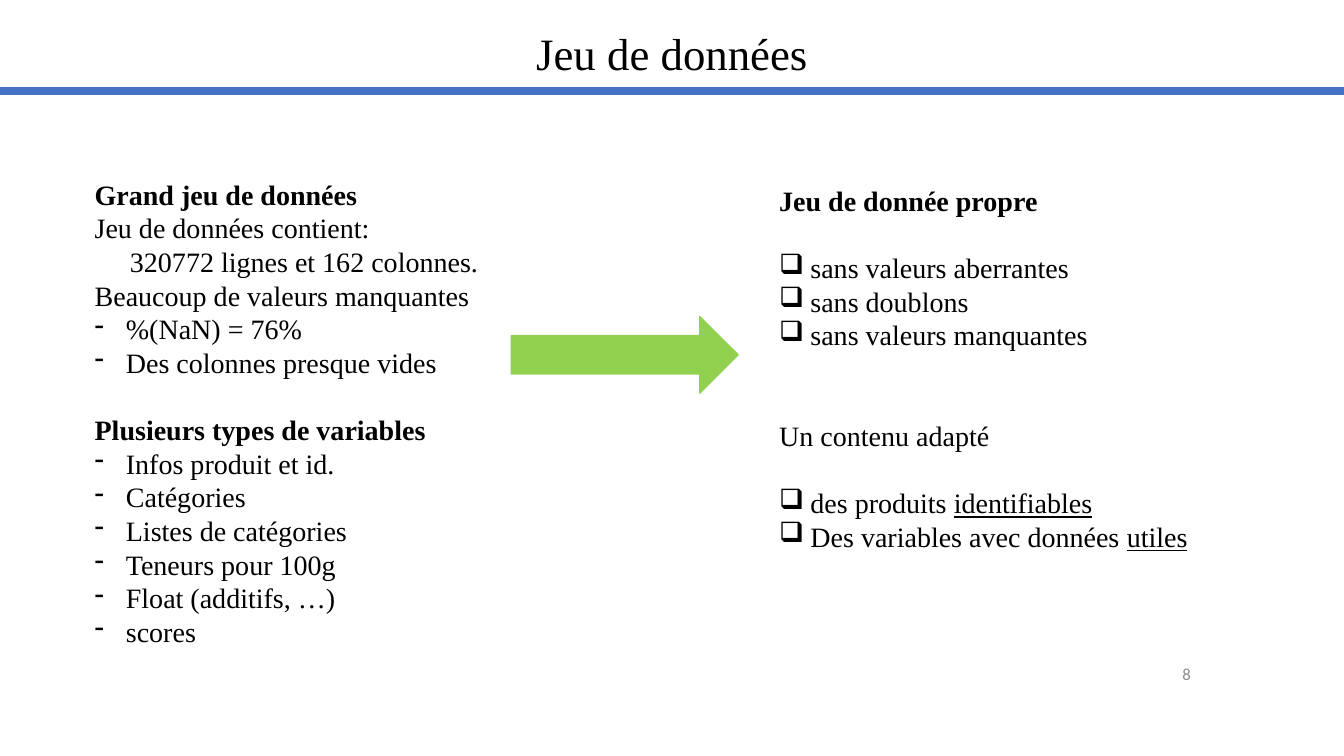
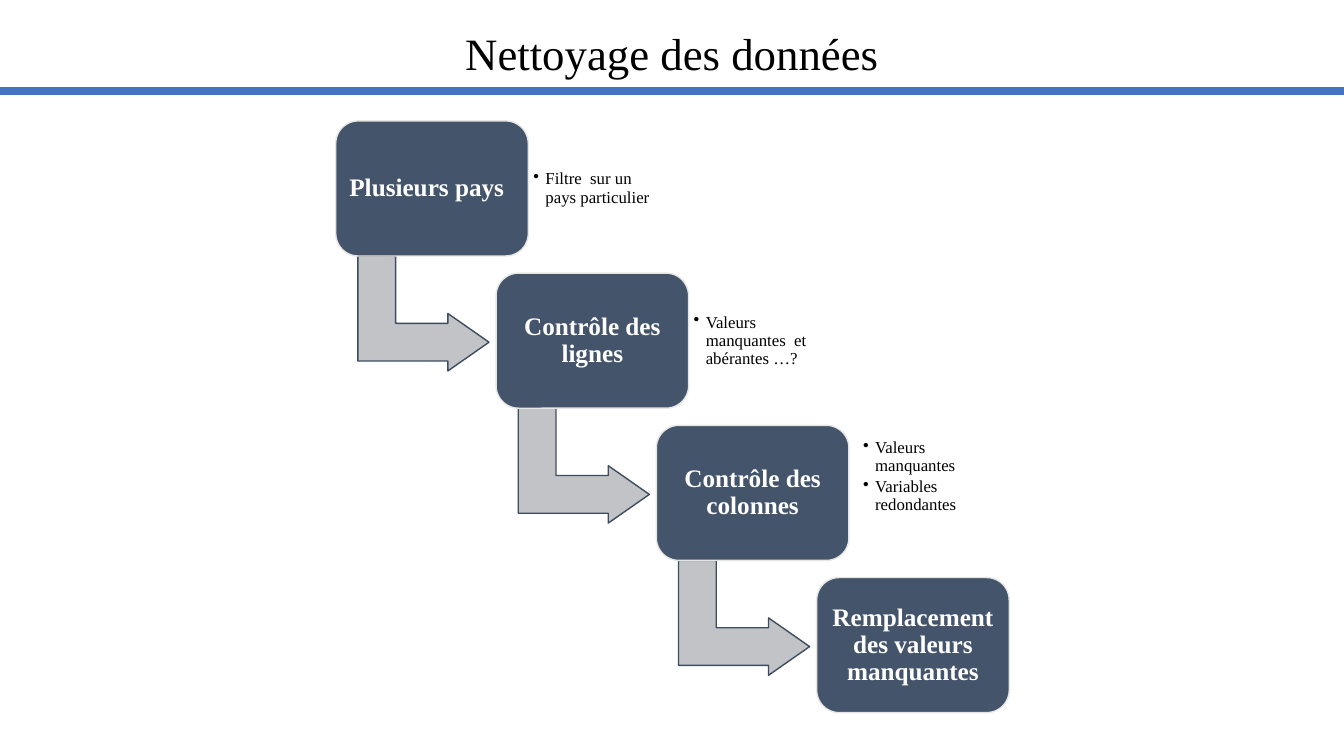
from typing import NamedTuple

from lxml import etree
from pptx import Presentation
from pptx.dml.color import RGBColor
from pptx.enum.shapes import MSO_CONNECTOR, MSO_SHAPE
from pptx.enum.text import MSO_ANCHOR, PP_ALIGN
from pptx.oxml.ns import qn
from pptx.util import Inches, Pt

STRAIGHT = MSO_CONNECTOR.STRAIGHT
RIGHT_ARROW = MSO_SHAPE.RIGHT_ARROW
BENT_ARROW = MSO_SHAPE.BENT_UP_ARROW
ROUNDED = MSO_SHAPE.ROUNDED_RECTANGLE
TOP, MIDDLE = MSO_ANCHOR.TOP, MSO_ANCHOR.MIDDLE
LEFT, CENTER, RIGHT, JUSTIFY = PP_ALIGN.LEFT, PP_ALIGN.CENTER, PP_ALIGN.RIGHT, PP_ALIGN.JUSTIFY

BLACK = RGBColor(0x00, 0x00, 0x00)
WHITE = RGBColor(0xFF, 0xFF, 0xFF)
BLUE = RGBColor(0x44, 0x72, 0xC4)
GREEN = RGBColor(0x92, 0xD0, 0x50)
SLATE = RGBColor(0x44, 0x54, 0x6A)
SLATE_LINE = RGBColor(0x3E, 0x4C, 0x60)
PALE_LINE = RGBColor(0xE7, 0xE6, 0xE6)
ARROW_GRAY = RGBColor(0xC1, 0xC3, 0xC7)
NUMBER_GRAY = RGBColor(0x8C, 0x8C, 0x8C)

SERIF = "Times New Roman"
SANS = "Calibri"
SLIDE_WIDTH = 13.33
BLANK_LINE = 24
TITLE_ONLY = 5


class Line(NamedTuple):
    text: str
    bullet: str = ""
    bold: bool = False
    blanks_before: int = 0
    margin: float = 0
    underlined: str = ""


class Step(NamedTuple):
    label: str
    notes: tuple = ()
    align: PP_ALIGN = CENTER
    note_offset: tuple = (1.91, 0.13)


LARGE_DATA_SET = [
    Line("Grand jeu de données", bold=True),
    Line("Jeu de données contient:"),
    Line("320772 lignes et 162 colonnes.", margin=0.35),
    Line("Beaucoup de valeurs manquantes"),
    Line("%(NaN) = 76%", "-"),
    Line("Des colonnes presque vides", "-"),
    Line("Plusieurs types de variables", bold=True, blanks_before=1),
    Line("Infos produit et id.", "-"),
    Line("Catégories", "-"),
    Line("Listes de catégories", "-"),
    Line("Teneurs pour 100g", "-"),
    Line("Float (additifs, …)", "-"),
    Line("scores", "-"),
]

CLEAN_DATA_SET = [
    Line("Jeu de donnée propre", bold=True),
    Line("sans valeurs aberrantes", "❑", blanks_before=1),
    Line("sans doublons", "❑"),
    Line("sans valeurs manquantes", "❑"),
    Line("Un contenu adapté", blanks_before=2),
    Line("des produits ", "❑", blanks_before=1, underlined="identifiables"),
    Line("Des variables avec données ", "❑", underlined="utiles"),
]

CLEANING_STEPS = [
    Step("Plusieurs pays", ("Filtre  sur un pays particulier",), JUSTIFY),
    Step("Contrôle des lignes", ("Valeurs manquantes  et abérantes …?",)),
    Step("Contrôle des colonnes", ("Valeurs manquantes", "Variables redondantes"),
         note_offset=(2, -0.03)),
    Step("Remplacement des valeurs manquantes"),
]


def format_font(font, size, color=BLACK, name=SERIF, bold=False):
    font.name = name
    font.size = Pt(size)
    font.bold = bold
    font.color.rgb = color


def indent(paragraph, margin, bullet=""):
    properties = paragraph._p.get_or_add_pPr()
    properties.set("marL", str(Inches(margin)))
    if bullet:
        properties.set("indent", str(-Inches(margin)))
        etree.SubElement(properties, qn("a:buChar")).set("char", bullet)


def next_paragraph(frame, index):
    return frame.add_paragraph() if index else frame.paragraphs[0]


def set_insets(frame, inset):
    frame.margin_left = frame.margin_right = Inches(inset)
    frame.margin_top = frame.margin_bottom = Inches(inset)


def add_text_frame(slide, left, top, width, height, anchor=TOP):
    box = slide.shapes.add_textbox(Inches(left), Inches(top), Inches(width), Inches(height))
    frame = box.text_frame
    frame.word_wrap = True
    frame.vertical_anchor = anchor
    return frame


def add_shape(slide, kind, left, top, width, height, fill, line):
    shape = slide.shapes.add_shape(
        kind, Inches(left), Inches(top), Inches(width), Inches(height))
    shape.shadow.inherit = False
    shape.fill.solid()
    shape.fill.fore_color.rgb = fill
    shape.line.color.rgb = line
    shape.line.width = Pt(1)
    return shape


def add_title_slide(presentation, text):
    slide = presentation.slides.add_slide(presentation.slide_layouts[TITLE_ONLY])
    title = slide.shapes.title
    title.left, title.top = Inches(0), Inches(0.21)
    title.width, title.height = Inches(SLIDE_WIDTH), Inches(0.64)
    title.text_frame.text = text
    title.text_frame.vertical_anchor = TOP
    paragraph = title.text_frame.paragraphs[0]
    paragraph.alignment = CENTER
    format_font(paragraph.font, 32)

    rule = slide.shapes.add_connector(
        STRAIGHT, Inches(0), Inches(0.9), Inches(SLIDE_WIDTH), Inches(0.9))
    rule.line.color.rgb = BLUE
    rule.line.width = Pt(5.75)
    etree.SubElement(rule._element.spPr, qn("a:effectLst"))
    return slide


def add_lines(slide, left, top, width, height, lines):
    frame = add_text_frame(slide, left, top, width, height)
    for index, line in enumerate(lines):
        paragraph = next_paragraph(frame, index)
        indent(paragraph, 0.31 if line.bullet else line.margin, line.bullet)
        paragraph.space_before = Pt(BLANK_LINE * line.blanks_before)
        format_font(paragraph.font, 20, bold=line.bold)
        paragraph.add_run().text = line.text
        if line.underlined:
            run = paragraph.add_run()
            run.text = line.underlined
            run.font.underline = True


def add_page_number(slide, number):
    frame = add_text_frame(slide, 11.32, 6.53, 0.59, 0.31, MIDDLE)
    frame.text = number
    paragraph = frame.paragraphs[0]
    paragraph.alignment = RIGHT
    format_font(paragraph.font, 12, NUMBER_GRAY, SANS)


def add_bent_arrow(slide, left, top):
    arrow = add_shape(slide, BENT_ARROW, left, top, 1.14, 1.3, ARROW_GRAY, SLATE_LINE)
    arrow.rotation = 90
    for index, value in enumerate((0.328, 0.25, 0.358)):
        arrow.adjustments[index] = value


def add_step_box(slide, left, top, step):
    box = add_shape(slide, ROUNDED, left, top, 1.91, 1.34, SLATE, PALE_LINE)
    frame = box.text_frame
    frame.word_wrap = True
    frame.vertical_anchor = MIDDLE
    set_insets(frame, 0.07)
    frame.text = step.label
    paragraph = frame.paragraphs[0]
    paragraph.alignment = step.align
    paragraph.line_spacing = 0.9
    format_font(paragraph.font, 18, WHITE, bold=True)


def add_notes_beside(slide, left, top, notes):
    frame = add_text_frame(slide, left, top, 1.39, 1.08, MIDDLE)
    set_insets(frame, 0.05)
    for index, note in enumerate(notes):
        paragraph = next_paragraph(frame, index)
        paragraph.text = note
        indent(paragraph, 0.12, "•")
        paragraph.alignment = LEFT
        paragraph.line_spacing = 0.9
        paragraph.space_after = Pt(1.8)
        format_font(paragraph.font, 12)


def add_staircase(slide, steps):
    for index, step in enumerate(steps):
        left = 3.33 + 1.59 * index
        top = 1.2 + 1.51 * index
        if index < len(steps) - 1:
            add_bent_arrow(slide, left + 0.3, top + 1.26)
        add_step_box(slide, left, top, step)
        if step.notes:
            across, down = step.note_offset
            add_notes_beside(slide, left + across, top + down, step.notes)


def main():
    presentation = Presentation()
    presentation.slide_width = Inches(SLIDE_WIDTH)
    presentation.slide_height = Inches(7.5)

    slide = add_title_slide(presentation, "Jeu de données")
    add_lines(slide, 7.63, 1.77, 4.3, 3.8, CLEAN_DATA_SET)
    add_lines(slide, 0.84, 1.71, 4.71, 4.81, LARGE_DATA_SET)
    add_shape(slide, RIGHT_ARROW, 5.07, 3.14, 2.25, 0.76, GREEN, GREEN)
    add_page_number(slide, "8")

    slide = add_title_slide(presentation, "Nettoyage des données")
    add_staircase(slide, CLEANING_STEPS)

    presentation.save("out.pptx")


main()
